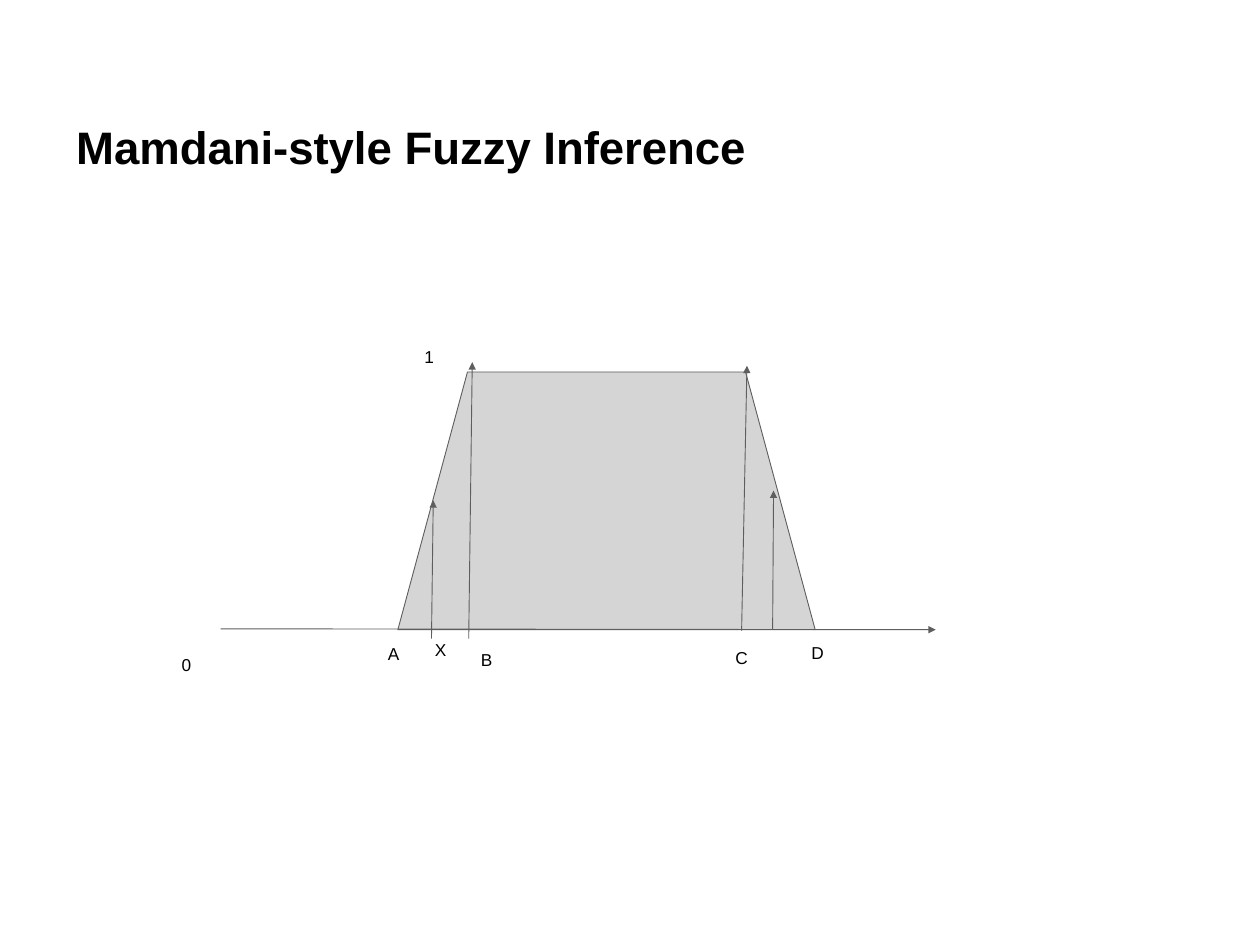
from dataclasses import dataclass

from lxml.etree import SubElement
from pptx import Presentation
from pptx.dml.color import RGBColor
from pptx.dml.line import LineFormat
from pptx.enum.shapes import MSO_CONNECTOR, MSO_SHAPE
from pptx.enum.text import MSO_ANCHOR, MSO_AUTO_SIZE, PP_ALIGN
from pptx.oxml.ns import qn
from pptx.slide import Slide
from pptx.text.text import Font, TextFrame
from pptx.util import Inches, Pt

COLORS = {"ink": "000000", "line": "5E5E5E", "fill": "D6D5D5", "back": "FFFFFF"}
TITLE = {"size": Pt(37), "name": "Arial", "bold": True}
LABEL = {"size": Pt(14), "name": "Arial", "bold": False}
INSETS = {side: Inches(0.06) for side in
          ("margin_left", "margin_top", "margin_right", "margin_bottom")}
HEAD = {"word_wrap": True, "vertical_anchor": MSO_ANCHOR.MIDDLE,
        "auto_size": MSO_AUTO_SIZE.NONE, **INSETS}
NOTE = {"word_wrap": False, "auto_size": MSO_AUTO_SIZE.SHAPE_TO_FIT_TEXT}


@dataclass
class Arrow:
    left: float
    top: float
    right: float
    end: float


@dataclass
class Label:
    text: str
    left: float
    top: float
    width: float


ARROWS = [
    Arrow(2.49, 7.1, 10.56, 7.11),
    Arrow(5.29, 7.21, 5.33, 4.09),
    Arrow(8.37, 7.12, 8.43, 4.13),
    Arrow(4.87, 7.21, 4.89, 5.65),
    Arrow(8.72, 7.11, 8.73, 5.54),
]
LABELS = [
    Label("A", 4.28, 7.21, 0.33),
    Label("B", 5.33, 7.28, 0.33),
    Label("C", 8.2, 7.26, 0.34),
    Label("D", 9.06, 7.2, 0.34),
    Label("1", 4.69, 3.86, 0.31),
    Label("0", 1.95, 7.34, 0.31),
    Label("X", 4.81, 7.17, 0.33),
]


def color(name: str) -> RGBColor:
    return RGBColor.from_string(COLORS[name])


def apply(target: object, values: dict) -> None:
    for name, value in values.items():
        setattr(target, name, value)


def write(frame: TextFrame, text: str, layout: dict, style: dict,
          align: PP_ALIGN) -> None:
    frame.text = text
    apply(frame, layout)
    frame.paragraphs[0].alignment = align
    font: Font = frame.paragraphs[0].runs[0].font
    apply(font, style)
    font.color.rgb = color("ink")


def stroke(line: LineFormat) -> None:
    line.color.rgb = color("line")
    line.width = Pt(0.75)


def add_title(slide: Slide, text: str) -> None:
    title = slide.shapes.title
    apply(title, {"left": Inches(0.76), "top": Inches(1.29),
                  "width": Inches(7.76), "height": Inches(0.73)})
    write(title.text_frame, text, HEAD, TITLE, PP_ALIGN.CENTER)


def add_set(slide: Slide) -> None:
    shape = slide.shapes.add_shape(MSO_SHAPE.TRAPEZOID, Inches(4.49), Inches(4.2),
                                   Inches(4.71), Inches(2.91))
    shape.adjustments[0] = 0.27
    shape.shadow.inherit = False
    shape.fill.solid()
    shape.fill.fore_color.rgb = color("fill")
    stroke(shape.line)


def add_arrow(slide: Slide, arrow: Arrow) -> None:
    link = slide.shapes.add_connector(
        MSO_CONNECTOR.STRAIGHT, Inches(arrow.left), Inches(arrow.top),
        Inches(arrow.right), Inches(arrow.end))
    stroke(link.line)
    props = link._element.spPr
    SubElement(props.find(qn("a:ln")), qn("a:tailEnd"), type="triangle")
    SubElement(props, qn("a:effectLst"))


def add_label(slide: Slide, label: Label) -> None:
    box = slide.shapes.add_textbox(Inches(label.left), Inches(label.top),
                                   Inches(label.width), Inches(0.34))
    write(box.text_frame, label.text, NOTE, LABEL, PP_ALIGN.LEFT)


def main() -> None:
    deck = Presentation()
    apply(deck, {"slide_width": Inches(14.22), "slide_height": Inches(10.67)})
    slide = deck.slides.add_slide(deck.slide_layouts[5])
    slide.background.fill.solid()
    slide.background.fill.fore_color.rgb = color("back")
    add_title(slide, "Mamdani-style Fuzzy Inference")
    add_set(slide)
    for arrow in ARROWS:
        add_arrow(slide, arrow)
    for label in LABELS:
        add_label(slide, label)
    deck.save("out.pptx")


if __name__ == "__main__":
    main()
